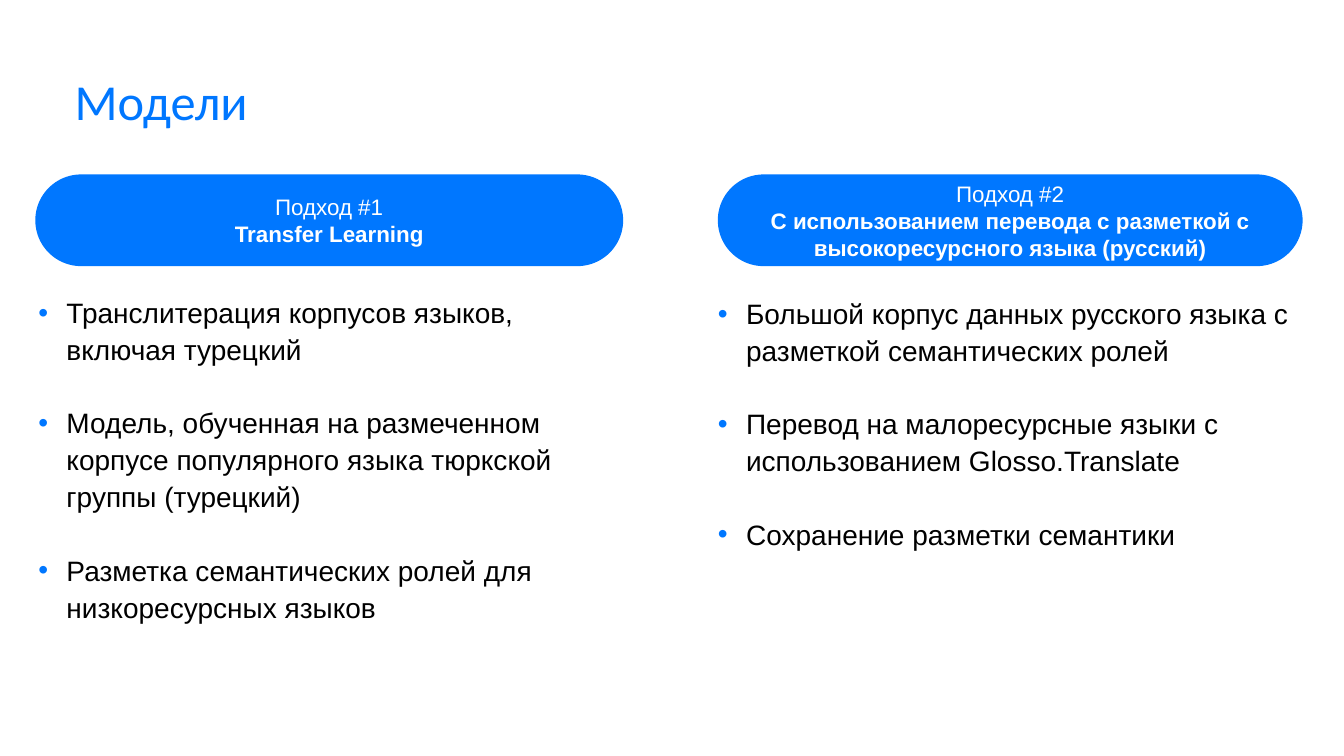
import lxml.etree
import pptx
import pptx.dml.color
import pptx.enum.shapes
import pptx.enum.text
import pptx.oxml.ns
import pptx.util

BLUE = pptx.dml.color.RGBColor(0x00, 0x77, 0xFF)
BLACK = pptx.dml.color.RGBColor(0x00, 0x00, 0x00)
WHITE = pptx.dml.color.RGBColor(0xFF, 0xFF, 0xFF)

APPROACHES = [
    {
        "pill": (2.63, 23.07, 43.74, 12.13),
        "body": (2.85, 38.67, 43.51, 51.07),
        "heading": ["Подход #1", "Transfer Learning"],
        "points": [
            "Транслитерация корпусов языков, включая турецкий",
            "Модель, обученная на размеченном корпусе популярного языка тюркской группы (турецкий)",
            "Разметка семантических ролей для низкоресурсных языков",
        ],
    },
    {
        "pill": (53.41, 23.07, 43.51, 12.13),
        "body": (53.41, 38.8, 43.51, 51.07),
        "heading": [
            "Подход #2",
            "С использованием перевода с разметкой с высокоресурсного языка (русский)",
        ],
        "points": [
            "Большой корпус данных русского языка с разметкой семантических ролей",
            "Перевод на малоресурсные языки с использованием Glosso.Translate",
            "Сохранение разметки семантики",
        ],
    },
]


class SlideBuilder:
    """Places styled elements on a slide by percentages of its size."""

    def __init__(self, deck):
        self.deck = deck
        self.page = deck.slides.add_slide(deck.slide_layouts[5])

    def area(self, left, top, width, height):
        across, down = self.deck.slide_width / 100, self.deck.slide_height / 100
        return [round(v) for v in (left * across, top * down, width * across, height * down)]

    def style(self, para, size, color, name="Arial", bold=False):
        for span in para.runs:
            span.font.name = name
            span.font.size = pptx.util.Pt(size)
            span.font.bold = bold
            span.font.color.rgb = color

    def clear_insets(self, frame):
        frame.margin_left = frame.margin_right = 0
        frame.margin_top = frame.margin_bottom = 0
        frame.word_wrap = True
        frame.auto_size = pptx.enum.text.MSO_AUTO_SIZE.NONE
        frame.vertical_anchor = pptx.enum.text.MSO_ANCHOR.TOP

    def title(self, text, place):
        box = self.page.shapes.title
        box.left, box.top, box.width, box.height = self.area(*place)
        self.clear_insets(box.text_frame)
        box.text_frame.text = text
        para = box.text_frame.paragraphs[0]
        para.alignment = pptx.enum.text.PP_ALIGN.LEFT
        para.line_spacing = 0.9
        self.style(para, 36, BLUE, "Calibri")

    def pill(self, lines, place):
        kind = pptx.enum.shapes.MSO_SHAPE.ROUNDED_RECTANGLE
        box = self.page.shapes.add_shape(kind, *self.area(*place))
        box.adjustments[0] = 0.5
        box.shadow.inherit = False
        box.fill.solid()
        box.fill.fore_color.rgb = BLUE
        box.line.fill.background()
        box.text_frame.text = "\n".join(lines)
        box.text_frame.word_wrap = True
        box.text_frame.vertical_anchor = pptx.enum.text.MSO_ANCHOR.MIDDLE
        for index, para in enumerate(box.text_frame.paragraphs):
            para.alignment = pptx.enum.text.PP_ALIGN.CENTER
            self.style(para, 16, WHITE, bold=index > 0)

    def bullet(self, para):
        qn = pptx.oxml.ns.qn
        props = para._p.get_or_add_pPr()
        indent = pptx.util.Inches(0.28)
        props.set("marL", str(indent))
        props.set("indent", str(-indent))
        tint = lxml.etree.SubElement(props, qn("a:buClr"))
        lxml.etree.SubElement(tint, qn("a:srgbClr"), val=str(BLUE))
        lxml.etree.SubElement(props, qn("a:buFont"), typeface="Arial")
        lxml.etree.SubElement(props, qn("a:buChar"), char="•")

    def bullets(self, points, place):
        box = self.page.shapes.add_textbox(*self.area(*place))
        self.clear_insets(box.text_frame)
        box.text_frame.text = "\n".join(points)
        for index, para in enumerate(box.text_frame.paragraphs):
            self.bullet(para)
            para.line_spacing = 1.1
            if index:
                para.space_before = pptx.util.Pt(26)
            self.style(para, 20, BLACK)


def main():
    deck = pptx.Presentation()
    deck.slide_width = pptx.util.Inches(13.33)
    deck.slide_height = pptx.util.Inches(7.5)
    builder = SlideBuilder(deck)
    builder.title("Модели", (5.55, 10.13, 89.05, 9.33))
    for approach in APPROACHES:
        builder.pill(approach["heading"], approach["pill"])
        builder.bullets(approach["points"], approach["body"])
    deck.save("out.pptx")


if __name__ == "__main__":
    main()
